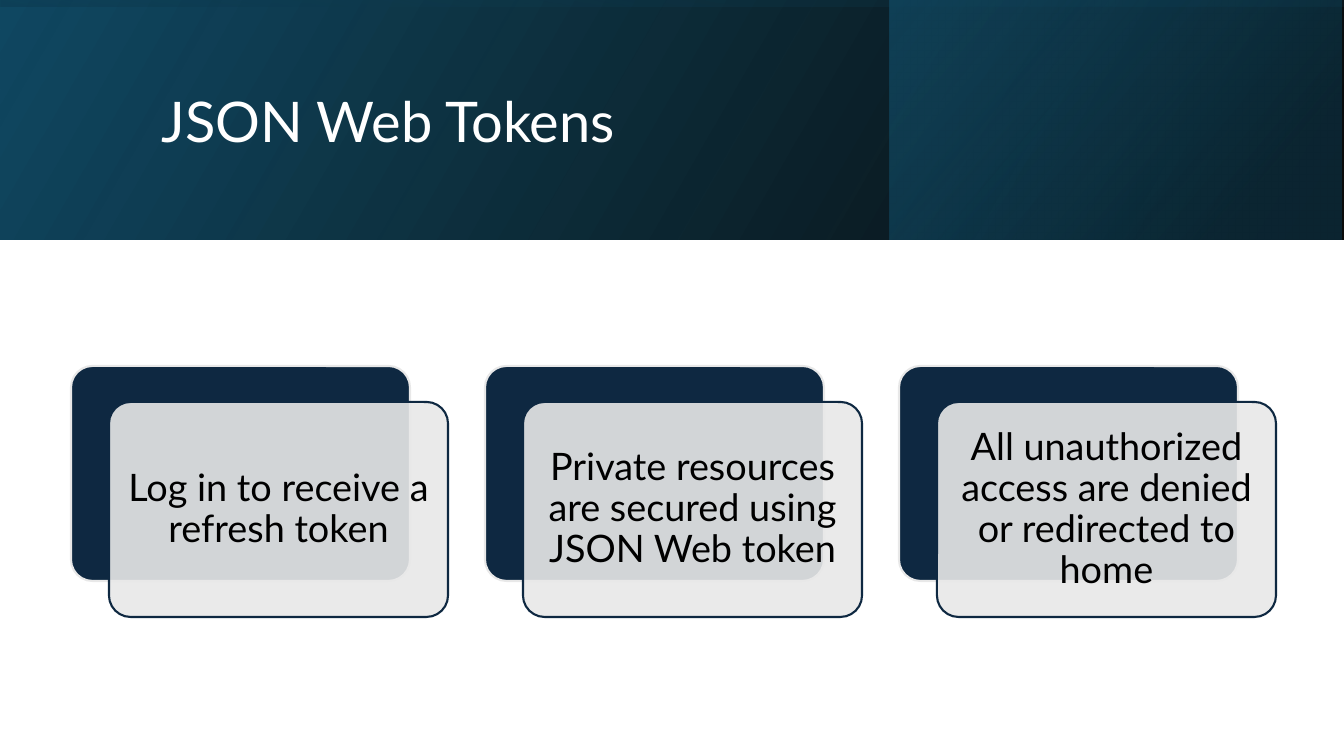
"""Build the JSON Web Tokens slide with three layered cards."""
from lxml import etree
from pptx import Presentation
from pptx.dml.color import RGBColor
from pptx.enum.shapes import MSO_SHAPE
from pptx.enum.text import MSO_ANCHOR, PP_ALIGN
from pptx.oxml.ns import qn
from pptx.util import Pt

PX = 9072
RECT = MSO_SHAPE.RECTANGLE
ROUND = MSO_SHAPE.ROUNDED_RECTANGLE
MIDDLE = MSO_ANCHOR.MIDDLE
LEFT, CENTER = PP_ALIGN.LEFT, PP_ALIGN.CENTER

BLACK = RGBColor(0x00, 0x00, 0x00)
WHITE = RGBColor(0xFF, 0xFF, 0xFF)
NAVY = RGBColor(0x0E, 0x28, 0x41)
GRAY = RGBColor(0xE8, 0xE8, 0xE8)
DEEP = RGBColor(0x10, 0x48, 0x62)
DARK = RGBColor(0x0B, 0x30, 0x41)
TEAL = RGBColor(0x15, 0x60, 0x82)

WIDE, HIGH = 1344, 756
BAND = 240
SIDE = 452
TURN = (WIDE - BAND) // 2
BANDS = [
    ((0, 0, WIDE, BAND), 0, 30, [(0, BLACK, 96), (100, DEEP, 100)]),
    ((WIDE - SIDE - 2, 0, SIDE, BAND), 0, 40, [(19, DARK, 68), (100, TEAL, 48)]),
    ((TURN, -TURN, BAND, WIDE), 270, 10, [(23, DEEP, 16), (99, BLACK, 45)]),
]
STEPS = [
    "Log in to receive a refresh token",
    "Private resources are secured using JSON Web token",
    "All unauthorized access are denied or redirected to home",
]
CARD_X, CARD_Y, CARD_W, CARD_H = 71, 366, 339, 215
PITCH, SHIFT_X, SHIFT_Y = 414, 38, 36
INSET = 11


def scale(box):
    """Turn px lengths into EMU."""
    return [n * PX for n in box]


def apply(item, values):
    """Set each named attribute on an item."""
    for name, value in values.items():
        setattr(item, name, value)


def fade(shape, levels):
    """Give the fill colours of a shape their opacity in percent."""
    colors = list(shape.fill._xPr.iter(qn("a:srgbClr")))
    for color, level in zip(colors, levels):
        etree.SubElement(color, qn("a:alpha")).set("val", str(level * 1000))


def add_band(slide, box, turn, angle, stops):
    """Add a mirrored gradient band to the header."""
    band = slide.shapes.add_shape(RECT, *scale(box))
    band.shadow.inherit = False
    band.rotation = turn
    band._element.spPr.find(qn("a:xfrm")).set("flipH", "1")
    band.fill.gradient()
    band.fill.gradient_angle = angle
    for stop, (place, color, _) in zip(band.fill.gradient_stops, stops):
        stop.position = place / 100
        stop.color.rgb = color
    fade(band, [level for _, _, level in stops])
    band.line.fill.background()


def add_plate(slide, box, fill, line, level=100):
    """Add one rounded plate of a card."""
    plate = slide.shapes.add_shape(ROUND, *scale(box))
    plate.shadow.inherit = False
    plate.adjustments[0] = 0.1
    plate.fill.solid()
    plate.fill.fore_color.rgb = fill
    fade(plate, [level])
    plate.line.color.rgb = line
    plate.line.width = Pt(1.5)
    return plate


def write(shape, text, size, color, align, inset):
    """Write one formatted paragraph into a shape."""
    frame = shape.text_frame
    sides = ("left", "top", "right", "bottom")
    apply(frame, {"margin_" + side: inset * PX for side in sides})
    apply(frame, {"word_wrap": True, "vertical_anchor": MIDDLE})
    para = frame.paragraphs[0]
    apply(para, {"text": text, "alignment": align, "line_spacing": 0.9})
    font = para.runs[0].font
    apply(font, {"name": "Lato", "size": Pt(size)})
    font.color.rgb = color


def add_card(slide, left, text):
    """Add a dark plate with a captioned light plate over it."""
    add_plate(slide, (left, CARD_Y, CARD_W, CARD_H), NAVY, GRAY)
    box = (left + SHIFT_X, CARD_Y + SHIFT_Y, CARD_W, CARD_H)
    front = add_plate(slide, box, GRAY, NAVY, 90)
    write(front, text, 27, BLACK, CENTER, INSET)


def main():
    """Build and save the slide."""
    deck = Presentation()
    apply(deck, {"slide_width": WIDE * PX, "slide_height": HIGH * PX})
    slide = deck.slides.add_slide(deck.slide_layouts[6])
    for band in BANDS:
        add_band(slide, *band)
    title = slide.shapes.add_textbox(*scale((152, 38, 1072, 173)))
    write(title, "JSON Web Tokens", 40, WHITE, LEFT, 10)
    for i, step in enumerate(STEPS):
        add_card(slide, CARD_X + i * PITCH, step)
    deck.save("out.pptx")


if __name__ == "__main__":
    main()
